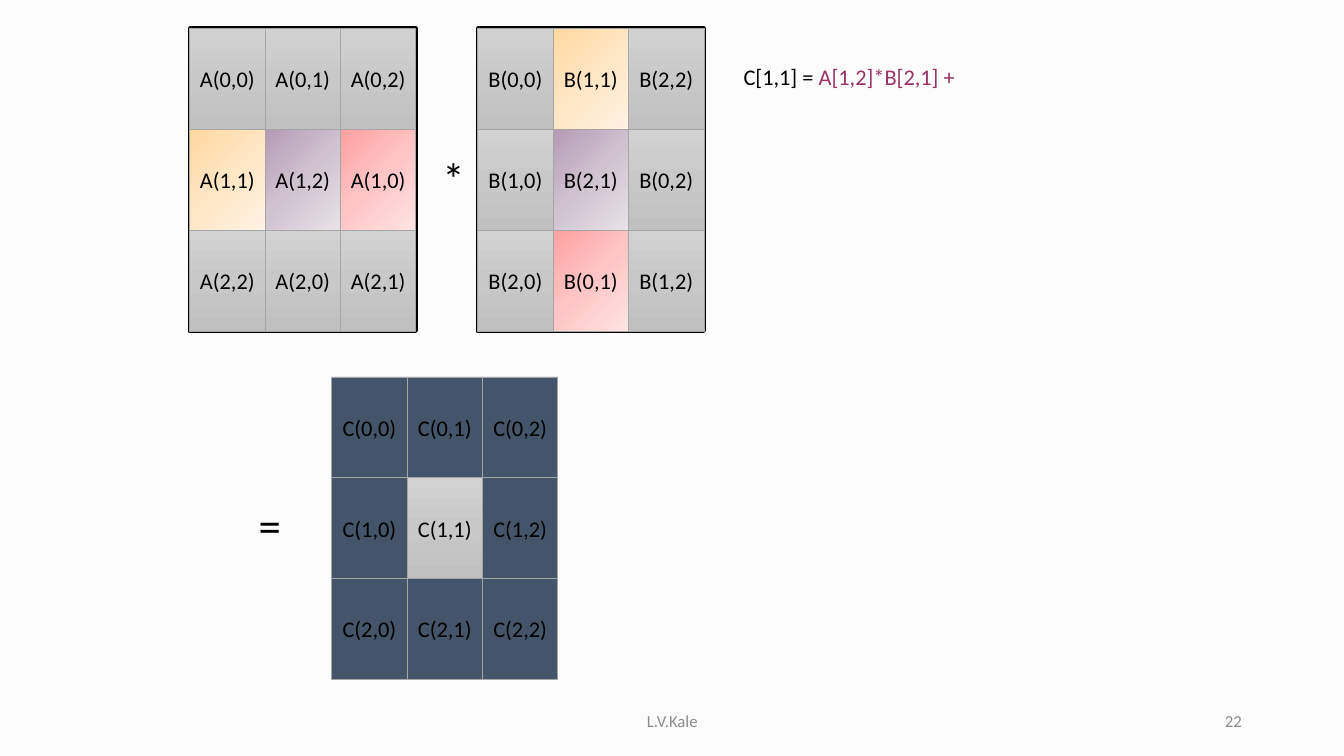
import copy
import dataclasses

import pptx
import pptx.dml.color
import pptx.enum.shapes
import pptx.enum.text
import pptx.oxml.ns
import pptx.util

Cm = pptx.util.Cm
ALIGN = pptx.enum.text.PP_ALIGN
ANCHOR = pptx.enum.text.MSO_ANCHOR


@dataclasses.dataclass(frozen=True)
class Gradient:
    colors: tuple
    angle: int  # counter-clockwise degrees


@dataclasses.dataclass(frozen=True)
class Theme:
    font: str = "Calibri"
    body_size: int = 16
    operator_size: int = 32
    footer_size: int = 12
    background: str = "FCFCFC"
    frame_fill: str = "FFFFFF"
    ink: str = "000000"
    grid_line: str = "A5A5A5"
    accent: str = "993366"
    footer: str = "8C8C8C"
    slate: str = "44546A"
    gray: Gradient = Gradient(("D2D2D2", "C8C8C8", "C0C0C0"), 270)
    purple: Gradient = Gradient(("B49BB4", "D0C3D0", "E8E2E8"), 315)
    red: Gradient = Gradient(("FFA0A0", "FFC5C5", "FFE3E3"), 315)
    orange: Gradient = Gradient(("FFD8A0", "FFE6C5", "FFF2E3"), 315)


def rgb(value):
    return pptx.dml.color.RGBColor.from_string(value)


class SlideBuilder:
    CELL_WIDTH, CELL_HEIGHT = 1.9, 2.54

    def __init__(self, slide, theme):
        self.slide = slide
        self.theme = theme
        slide.background.fill.solid()
        slide.background.fill.fore_color.rgb = rgb(theme.background)

    def paint(self, shape, paint):
        if isinstance(paint, str):
            shape.fill.solid()
            shape.fill.fore_color.rgb = rgb(paint)
            return
        shape.fill.gradient()
        shape.fill.gradient_angle = paint.angle
        # A new gradient has two stops; add the middle one
        stop_list = shape._element.spPr.find(".//" + pptx.oxml.ns.qn("a:gsLst"))
        stop_list.insert(1, copy.deepcopy(stop_list[0]))
        for index, stop in enumerate(shape.fill.gradient_stops):
            stop.position = index / 2
            stop.color.rgb = rgb(paint.colors[index])

    def rectangle(self, shapes, left, top, width, height, paint, line, line_width):
        shape = shapes.add_shape(pptx.enum.shapes.MSO_SHAPE.RECTANGLE,
                                 Cm(left), Cm(top), Cm(width), Cm(height))
        shape.shadow.inherit = False
        self.paint(shape, paint)
        shape.line.color.rgb = rgb(line)
        shape.line.width = pptx.util.Pt(line_width)
        return shape

    def set_text(self, frame, runs, size, align):
        para = frame.paragraphs[0]
        para.alignment = align
        para.font.name = self.theme.font
        para.font.size = pptx.util.Pt(size)
        if len(runs) == 1:
            para.font.color.rgb = rgb(runs[0][1])
        for words, color in runs:
            span = para.add_run()
            span.text = words
            if len(runs) > 1:
                span.font.color.rgb = rgb(color)

    def text(self, left, top, width, height, runs, size,
             align=ALIGN.LEFT, anchor=ANCHOR.TOP, wrap=True):
        box = self.slide.shapes.add_textbox(Cm(left), Cm(top), Cm(width), Cm(height))
        box.text_frame.word_wrap = wrap
        box.text_frame.vertical_anchor = anchor
        self.set_text(box.text_frame, runs, size, align)

    def matrix(self, name, left, top, rows, base, backing, line, line_width, marked):
        """Draw a grid of blocks; marked maps (row, column) to a special fill."""
        theme = self.theme
        shapes = self.slide.shapes.add_group_shape().shapes
        self.rectangle(shapes, left, top, len(rows[0]) * self.CELL_WIDTH,
                       len(rows) * self.CELL_HEIGHT, backing, line, line_width)
        for row, indices in enumerate(rows):
            for column, index in enumerate(indices):
                cell = self.rectangle(
                    shapes, left + column * self.CELL_WIDTH, top + row * self.CELL_HEIGHT,
                    self.CELL_WIDTH, self.CELL_HEIGHT,
                    marked.get((row, column), base), theme.grid_line, 0.5)
                frame = cell.text_frame
                frame.margin_left = frame.margin_right = 0
                frame.vertical_anchor = ANCHOR.MIDDLE
                self.set_text(frame, [(f"{name}({index})", theme.ink)],
                              theme.body_size, ALIGN.CENTER)


def main():
    theme = Theme()
    deck = pptx.Presentation()
    deck.slide_width, deck.slide_height = Cm(33.87), Cm(19.05)
    page = SlideBuilder(deck.slides.add_slide(deck.slide_layouts[6]), theme)

    # Factor matrices, with their blocks shifted
    page.matrix("A", 4.78, 0.72,
                [["0,0", "0,1", "0,2"], ["1,1", "1,2", "1,0"], ["2,2", "2,0", "2,1"]],
                theme.gray, theme.frame_fill, theme.ink, 3,
                {(1, 0): theme.orange, (1, 1): theme.purple, (1, 2): theme.red})
    page.matrix("B", 12.04, 0.72,
                [["0,0", "1,1", "2,2"], ["1,0", "2,1", "0,2"], ["2,0", "0,1", "1,2"]],
                theme.gray, theme.frame_fill, theme.ink, 3,
                {(0, 1): theme.orange, (1, 1): theme.purple, (2, 1): theme.red})

    # Product matrix
    page.matrix("C", 8.36, 9.5,
                [[f"{row},{column}" for column in range(3)] for row in range(3)],
                theme.slate, theme.gray, theme.grid_line, 0.5, {(1, 1): theme.gray})

    # Operators and the running sum
    for symbol, left, top in (("*", 10.9, 3.68), ("=", 6.27, 12.42)):
        page.text(left, top, 0.66, 1.63, [(symbol, theme.ink)],
                  theme.operator_size, wrap=False)
    page.text(18.49, 1.47, 9.73, 0.94,
              [("C[1,1] = ", theme.ink), ("A[1,2]*B[2,1] +", theme.accent)],
              theme.body_size)

    # Footer
    for words, left, width, align in (("L.V.Kale", 11.23, 11.43, ALIGN.CENTER),
                                      ("22", 23.93, 7.62, ALIGN.RIGHT)):
        page.text(left, 17.65, width, 1.02, [(words, theme.footer)],
                  theme.footer_size, align, ANCHOR.MIDDLE)

    deck.save("out.pptx")


if __name__ == "__main__":
    main()
